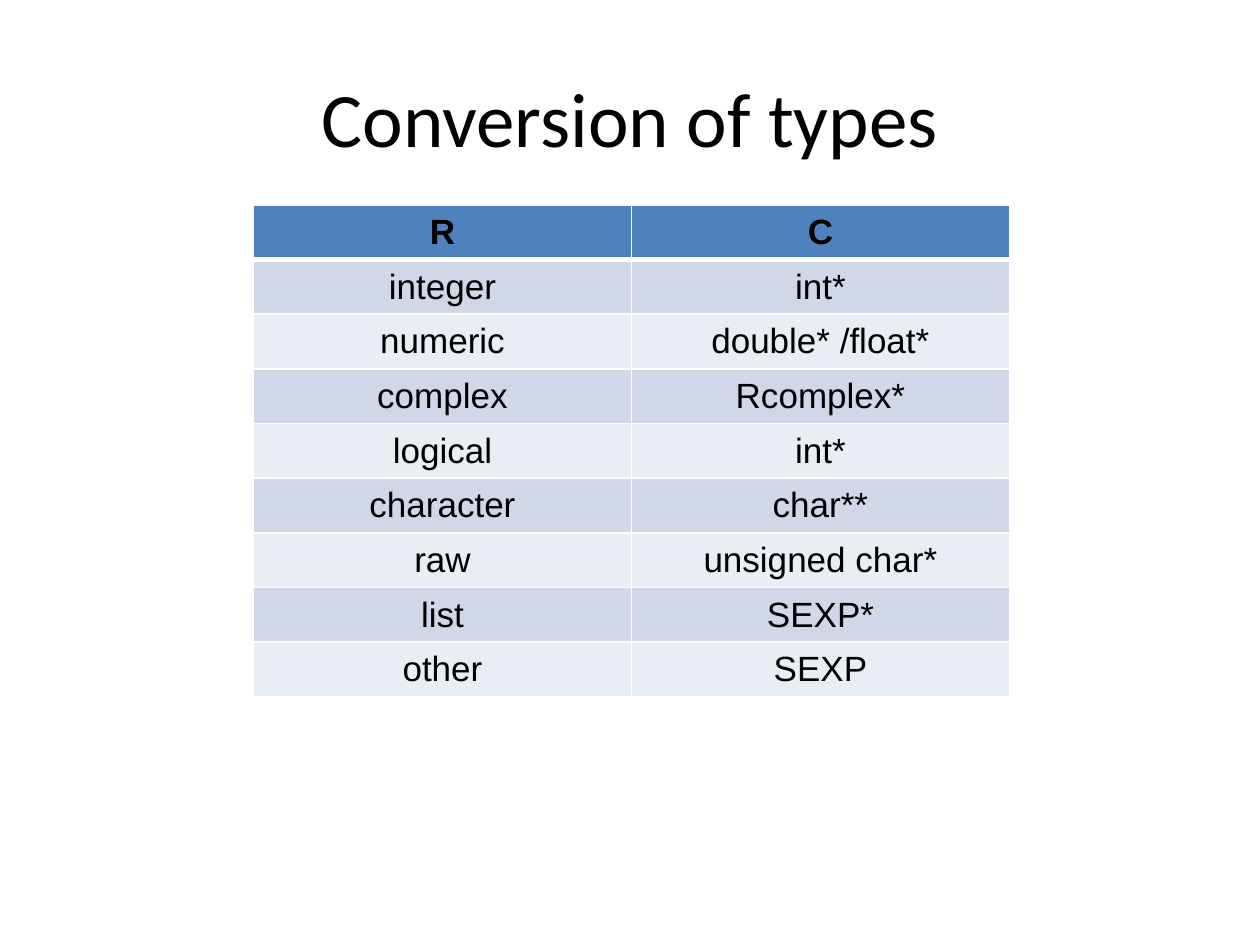
import pptx
import pptx.dml.color
import pptx.enum.text
import pptx.oxml
import pptx.oxml.ns
import pptx.util
from pptx.util import Cm

HEADER_FILL = "4F81BD"
BAND_FILLS = ("D0D8E8", "E9EDF4")
TYPE_PAIRS = [
    ("R", "C"),
    ("integer", "int*"),
    ("numeric", "double* /float*"),
    ("complex", "Rcomplex*"),
    ("logical", "int*"),
    ("character", "char**"),
    ("raw", "unsigned char*"),
    ("list", "SEXP*"),
    ("other", "SEXP"),
]


def color(hex_code):
    return pptx.dml.color.RGBColor.from_string(hex_code)


def write_centered(frame, text, font, size, bold=False):
    frame.text = text
    para = frame.paragraphs[0]
    para.alignment = pptx.enum.text.PP_ALIGN.CENTER
    span = para.runs[0]
    span.font.name = font
    span.font.size = pptx.util.Pt(size)
    span.font.bold = bold
    span.font.color.rgb = color("000000")


def add_title(page, text):
    box = page.shapes.add_textbox(Cm(1.27), Cm(0.76), Cm(22.86), Cm(3.18))
    box.text_frame.word_wrap = True
    box.text_frame.vertical_anchor = pptx.enum.text.MSO_ANCHOR.MIDDLE
    write_centered(box.text_frame, text, "Calibri", 44)


def set_borders(cell, **widths):
    """Draw white borders, given in points by side: L, R, T, B in that order."""
    properties = cell._tc.get_or_add_tcPr()
    for index, (side, width) in enumerate(widths.items()):
        line = pptx.oxml.parse_xml(
            f'<a:ln{side} {pptx.oxml.ns.nsdecls("a")} w="{pptx.util.Pt(width)}">'
            '<a:solidFill><a:srgbClr val="FFFFFF"/></a:solidFill>'
            f'</a:ln{side}>'
        )
        properties.insert(index, line)


def add_type_table(page, rows):
    row_height = Cm(1.04)
    frame = page.shapes.add_table(
        len(rows), 2, Cm(5.11), Cm(4.13), Cm(15.24), row_height * len(rows)
    )
    table = frame.table
    for row_index, texts in enumerate(rows):
        table.rows[row_index].height = row_height
        is_header = row_index == 0
        fill = HEADER_FILL if is_header else BAND_FILLS[(row_index - 1) % 2]
        for column_index, text in enumerate(texts):
            cell = table.cell(row_index, column_index)
            cell.vertical_anchor = pptx.enum.text.MSO_ANCHOR.MIDDLE
            cell.fill.solid()
            cell.fill.fore_color.rgb = color(fill)
            write_centered(cell.text_frame, text, "Arial", 20, is_header)
            top = 3 if row_index == 1 else 1
            bottom = 3 if is_header else 1
            set_borders(cell, L=1, R=1, T=top, B=bottom)


def main():
    deck = pptx.Presentation()
    deck.slide_width, deck.slide_height = Cm(25.4), Cm(19.05)
    page = deck.slides.add_slide(deck.slide_layouts[6])
    add_title(page, "Conversion of types")
    add_type_table(page, TYPE_PAIRS)
    deck.save("out.pptx")


if __name__ == "__main__":
    main()
